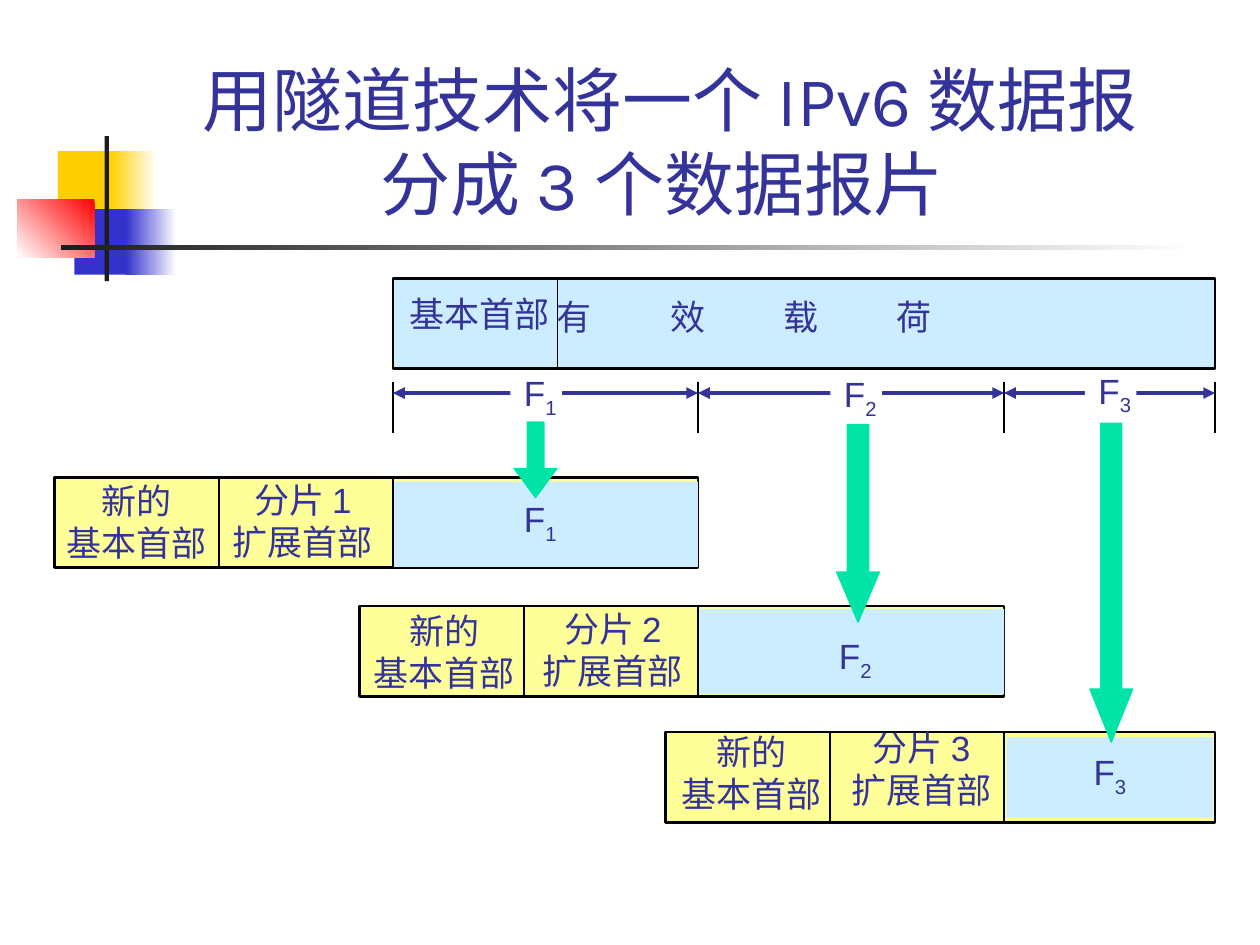
"""Build a slide showing one IPv6 datagram split into three fragments through a tunnel."""
from dataclasses import dataclass

from lxml import etree
from pptx import Presentation
from pptx.dml.color import RGBColor
from pptx.enum.shapes import MSO_CONNECTOR, MSO_SHAPE
from pptx.enum.text import MSO_ANCHOR, MSO_AUTO_SIZE, PP_ALIGN
from pptx.oxml.ns import qn
from pptx.shapes.autoshape import Shape
from pptx.slide import Slide
from pptx.text.text import _Paragraph
from pptx.util import Pt

RECTANGLE, DOWN_ARROW = MSO_SHAPE.RECTANGLE, MSO_SHAPE.DOWN_ARROW
STRAIGHT = MSO_CONNECTOR.STRAIGHT
LEFT, CENTER = PP_ALIGN.LEFT, PP_ALIGN.CENTER
BOTTOM = MSO_ANCHOR.BOTTOM
NO_FIT, GROW = MSO_AUTO_SIZE.NONE, MSO_AUTO_SIZE.SHAPE_TO_FIT_TEXT

WHITE = RGBColor(0xFF, 0xFF, 0xFF)
BLACK = RGBColor(0x00, 0x00, 0x00)
CHARCOAL = RGBColor(0x1C, 0x1C, 0x1C)
GOLD = RGBColor(0xFF, 0xCF, 0x01)
BLUE = RGBColor(0x33, 0x33, 0xCC)
RED = RGBColor(0xFF, 0x00, 0x00)
NAVY = RGBColor(0x33, 0x33, 0x99)
SKY = RGBColor(0xCC, 0xEC, 0xFF)
YELLOW = RGBColor(0xFF, 0xFF, 0x99)
GREEN = RGBColor(0x00, 0xE4, 0xA8)

CUTS = [224.6, 398.9, 573.8, 694.3]
DATAGRAM_TOP, BAR_HEIGHT = 159.1, 51.6
HEADER_WIDTH, BOTH_HEADERS_WIDTH = 94, 193.5
TICK_TOP, TICK_BOTTOM, SPAN_Y = 218.2, 247.7, 224.6
ARROW_WIDTH = 24.5


@dataclass
class Block:
    left: float
    top: float
    width: float
    height: float


@dataclass
class Ornament:
    block: Block
    color: RGBColor
    fade_to: RGBColor | None = None
    angle: float = 180


@dataclass
class Fragment:
    number: int
    top: float
    payload: Block
    span_label: tuple[float, float]
    payload_label: tuple[float, float]
    header_label: tuple[float, float]
    extension_label: tuple[float, float]
    arrow: Block
    arrow_shape: tuple[float, float]


ORNAMENTS = [
    Ornament(Block(33.1, 86.4, 34.6, 37.4), GOLD),
    Ornament(Block(63.4, 86.4, 25.9, 37.4), WHITE, GOLD),
    Ornament(Block(42.5, 119.5, 33.1, 37.4), BLUE),
    Ornament(Block(72, 119.5, 28.8, 37.4), WHITE, BLUE),
    Ornament(Block(10.1, 113.8, 43.9, 33.1), RED, WHITE, 225),
    Ornament(Block(59.8, 77.8, 2.5, 82.8), CHARCOAL),
    Ornament(Block(34.6, 140.2, 648, 2.5), WHITE, CHARCOAL),
]

FRAGMENTS = [
    Fragment(1, 272.9, Block(224.6, 275.2, 174.2, 48.8), (292.3, 208.8), (292.3, 280.8),
             (31, 270.7), (123.1, 270), Block(293.8, 241.2, ARROW_WIDTH, 43.2), (0.39, 0.68)),
    Fragment(2, 346.3, Block(399.6, 348, 174.2, 48.8), (475.2, 209.5), (472.3, 359.3),
             (206.6, 344.9), (300.2, 343.4), Block(478.1, 242.6, ARROW_WIDTH, 113), (0.5, 1.17)),
    Fragment(3, 418.3, Block(575.3, 421.2, 118.1, 46.1), (620.6, 207.4), (617.8, 425.5),
             (382.3, 414), (476.6, 411.8), Block(622.8, 241.9, ARROW_WIDTH, 182.2), (0.49, 1.24)),
]


def add_block(page: Slide, block: Block, fill: RGBColor | None, line: RGBColor | None = None,
              weight: float = 0.75, preset: MSO_SHAPE = RECTANGLE) -> Shape:
    shape = page.shapes.add_shape(preset, Pt(block.left), Pt(block.top),
                                  Pt(block.width), Pt(block.height))
    shape.shadow.inherit = False
    if fill is None:
        shape.fill.background()
    else:
        shape.fill.solid()
        shape.fill.fore_color.rgb = fill
    if line is None:
        shape.line.fill.background()
    else:
        shape.line.color.rgb = line
        shape.line.width = Pt(weight)
    return shape


def add_ornament(page: Slide, ornament: Ornament) -> None:
    shape = add_block(page, ornament.block, ornament.color)
    if ornament.fade_to is not None:
        shape.fill.gradient()
        shape.fill.gradient_angle = ornament.angle
        for stop, color in zip(shape.fill.gradient_stops, (ornament.color, ornament.fade_to)):
            stop.color.rgb = color


def add_line(page: Slide, start: tuple[float, float], end: tuple[float, float],
             color: RGBColor = BLACK, weight: float = 0.75, arrows: bool = False) -> None:
    line = page.shapes.add_connector(STRAIGHT, *map(Pt, start + end))
    line.line.color.rgb = color
    line.line.width = Pt(weight)
    properties = line._element.spPr
    if arrows:
        for tag in ("a:headEnd", "a:tailEnd"):
            etree.SubElement(properties.find(qn("a:ln")), qn(tag), type="triangle")
    etree.SubElement(properties, qn("a:effectLst"))


def format_paragraph(para: _Paragraph, font: str, size: float, align: PP_ALIGN) -> None:
    para.alignment = align
    para.font.name = font
    para.font.size = Pt(size)
    para.font.color.rgb = NAVY


def add_text(page: Slide, block: Block, text: str, align: PP_ALIGN = LEFT,
             wrap: bool = False) -> Shape:
    box = page.shapes.add_textbox(Pt(block.left), Pt(block.top), Pt(block.width), Pt(block.height))
    frame = box.text_frame
    frame.word_wrap = wrap
    frame.auto_size = GROW
    frame.text = text
    for para in frame.paragraphs:
        format_paragraph(para, "Arial", 20, align)
    return box


def add_fragment_label(page: Slide, position: tuple[float, float], number: int) -> None:
    box = add_text(page, Block(*position, 33.1, 34.6), "F")
    span = box.text_frame.paragraphs[0].add_run()
    span.text = str(number)
    span.font._element.set("baseline", "-25000")


def add_datagram(page: Slide) -> None:
    datagram = Block(CUTS[0], DATAGRAM_TOP, CUTS[-1] - CUTS[0], BAR_HEIGHT)
    add_block(page, datagram, SKY, BLACK, 1.5)
    add_text(page, Block(226.8, 163.4, 94.3, 31.7), "基本首部")
    payload = add_text(page, Block(311, 165.6, 383, 31.7), "有\t效\t载\t荷", wrap=True)
    properties = payload.text_frame.paragraphs[0]._p.get_or_add_pPr()
    tabs = etree.Element(qn("a:tabLst"))
    for step in (1, 2, 3):
        etree.SubElement(tabs, qn("a:tab"), pos=str(Pt(64.8 * step)), algn="l")
    properties.insert(0, tabs)
    divider = CUTS[0] + HEADER_WIDTH
    add_line(page, (divider, DATAGRAM_TOP), (divider, DATAGRAM_TOP + BAR_HEIGHT))


def add_spans(page: Slide) -> None:
    for cut in CUTS:
        add_line(page, (cut, TICK_TOP), (cut, TICK_BOTTOM))
    for start, end in zip(CUTS, CUTS[1:]):
        add_line(page, (start, SPAN_Y), (end, SPAN_Y), NAVY, 2.25, arrows=True)
    for fragment in FRAGMENTS:
        left, top = fragment.span_label
        add_block(page, Block(left - 0.7, top + 5.8, 29.5, 28.8), WHITE)
        add_fragment_label(page, fragment.span_label, fragment.number)


def add_fragment(page: Slide, fragment: Fragment, start: float, end: float) -> None:
    left, bottom = start - BOTH_HEADERS_WIDTH, fragment.top + BAR_HEIGHT
    add_block(page, Block(left, fragment.top, end - left, BAR_HEIGHT), YELLOW, BLACK, 1.5)
    add_block(page, fragment.payload, SKY)
    for divider in (left + HEADER_WIDTH, start):
        add_line(page, (divider, fragment.top), (divider, bottom))
    add_text(page, Block(*fragment.header_label, 94.3, 55.4), "新的\n基本首部", CENTER)
    add_text(page, Block(*fragment.extension_label, 100, 55.4),
             f"分片 {fragment.number}\n扩展首部", CENTER)
    add_fragment_label(page, fragment.payload_label, fragment.number)
    arrow = add_block(page, fragment.arrow, GREEN, GREEN, preset=DOWN_ARROW)
    arrow.adjustments[0], arrow.adjustments[1] = fragment.arrow_shape


def add_title(page: Slide) -> None:
    title = page.shapes.title
    title.left, title.top, title.width, title.height = map(Pt, (76.3, 16.6, 613.4, 115.2))
    frame = title.text_frame
    frame.auto_size = NO_FIT
    frame.vertical_anchor = BOTTOM
    frame.paragraphs[0].text = "用隧道技术将一个 IPv6 数据报\v分成 3 个数据报片 "
    format_paragraph(frame.paragraphs[0], "Karla", 40, CENTER)


def main() -> None:
    deck = Presentation()
    deck.slide_width, deck.slide_height = Pt(720), Pt(540)
    page = deck.slides.add_slide(deck.slide_layouts[5])
    for ornament in ORNAMENTS:
        add_ornament(page, ornament)
    add_title(page)
    add_datagram(page)
    add_spans(page)
    for fragment, start, end in zip(FRAGMENTS, CUTS, CUTS[1:]):
        add_fragment(page, fragment, start, end)
    deck.save("out.pptx")


if __name__ == "__main__":
    main()
